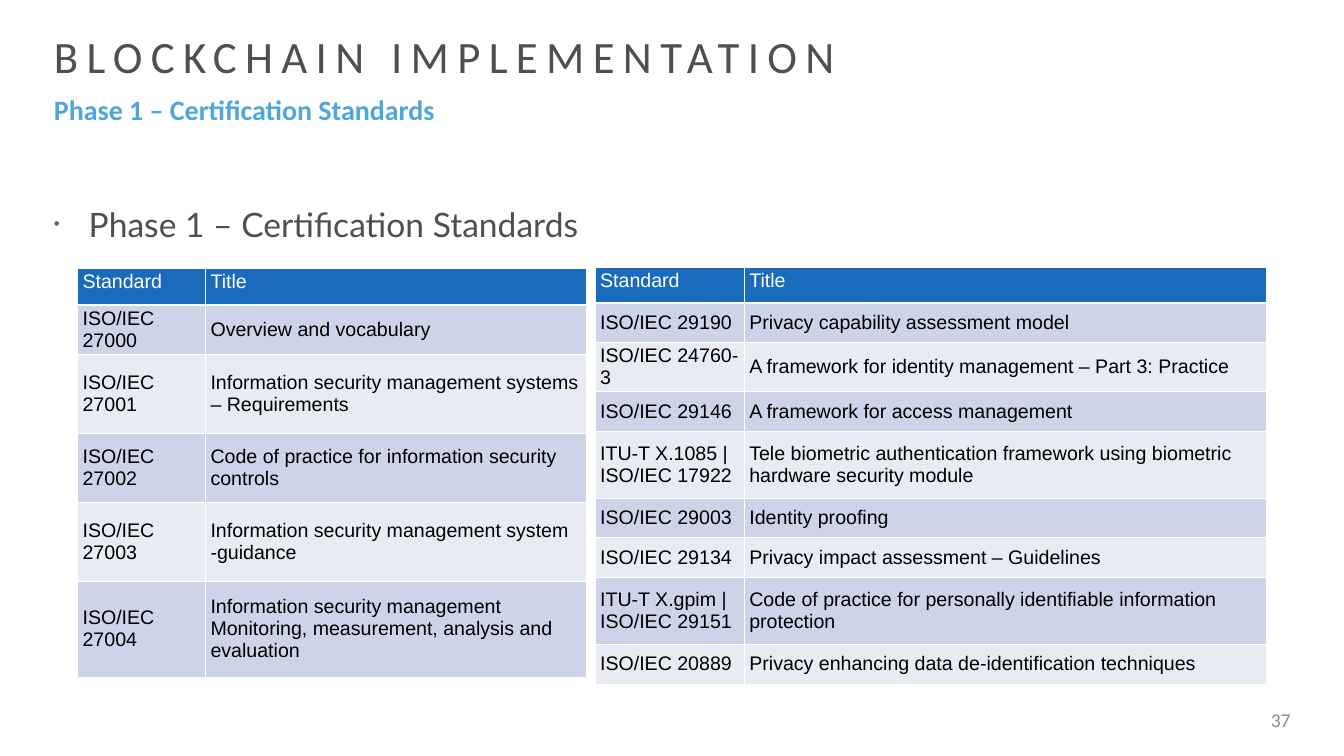
import pptx
import pptx.util
import pptx.dml.color
import pptx.enum.text
import pptx.oxml
import pptx.oxml.ns

HUES = {"ink": "4F4F4F", "blue": "4FA6DA", "gray": "8C8C8C", "dot": "646464",
        "head": "1B6BBC", "odd": "CDD4E7", "even": "E8EBF3",
        "white": "FFFFFF", "black": "000000"}
WIDE, HIGH = pptx.util.Inches(26.67), pptx.util.Inches(15)
ANCHOR = pptx.enum.text.MSO_ANCHOR
ALIGN = pptx.enum.text.PP_ALIGN

TITLE = "BLOCKCHAIN IMPLEMENTATION"
PHASE = "Phase 1 – Certification Standards"
PAGE = "37"
HEAD = ("Standard", "Title")

SPOTS = {"title": (3.64, 3.53, 64.79, 7.4), "sub": (3.64, 11.93, 92.73, 6.53),
         "body": (3.64, 26.6, 92.73, 63.53), "page": (72.59, 92.53, 23.81, 5.33)}
TABLES = [
    {"spot": (5.77, 35.47), "cols": (9.52, 28.35),
     "rows": (4.93, 6.27, 10.47, 9.07, 10.47, 12.67),
     "cells": [
         ("ISO/IEC 27000", "Overview and vocabulary"),
         ("ISO/IEC 27001", "Information security management systems – Requirements"),
         ("ISO/IEC 27002", "Code of practice for information security controls"),
         ("ISO/IEC 27003", "Information security management system -guidance"),
         ("ISO/IEC 27004", "Information security management Monitoring, "
                           "measurement, analysis and evaluation")]},
    {"spot": (44.28, 35.4), "cols": (11.1, 38.81),
     "rows": (4.67, 5.27, 5.27, 5.27, 8.8, 5.27, 5.27, 8.8, 5.27),
     "cells": [
         ("ISO/IEC 29190", "Privacy capability assessment model"),
         ("ISO/IEC 24760-3", "A framework for identity management – Part 3: Practice"),
         ("ISO/IEC 29146", "A framework for access management"),
         ("ITU-T X.1085 | ISO/IEC 17922", "Tele biometric authentication framework "
                                          "using biometric hardware security module"),
         ("ISO/IEC 29003", "Identity proofing"),
         ("ISO/IEC 29134", "Privacy impact assessment – Guidelines"),
         ("ITU-T X.gpim | ISO/IEC 29151", "Code of practice for personally "
                                          "identifiable information protection"),
         ("ISO/IEC 20889", "Privacy enhancing data de-identification techniques")]},
]


def across(part):
    return round(WIDE * part / 100)


def down(part):
    return round(HIGH * part / 100)


def tint(hue):
    return pptx.dml.color.RGBColor.from_string(HUES[hue])


def apply(thing, form):
    for key, value in form.items():
        setattr(thing, key, value)


def node(text):
    space = pptx.oxml.ns.nsdecls("a")
    return pptx.oxml.parse_xml(text.replace(" ", f" {space} ", 1))


def place(shape, spot):
    left, top, width, height = SPOTS[spot]
    apply(shape, {"left": across(left), "top": down(top),
                  "width": across(width), "height": down(height)})


def write(frame, text, hue, size, align=ALIGN.LEFT, **font):
    para = frame.paragraphs[0]
    apply(para, {"alignment": align, "space_before": pptx.util.Pt(0)})
    run = para.add_run()
    run.text = text
    apply(run.font, {"size": pptx.util.Pt(size), **font})
    run.font.color.rgb = tint(hue)
    return para, run


def fill_box(shape, spot, text, hue, anchor=ANCHOR.TOP, **form):
    place(shape, spot)
    apply(shape.text_frame, {"word_wrap": True, "vertical_anchor": anchor,
                             "auto_size": pptx.enum.text.MSO_AUTO_SIZE.NONE})
    return write(shape.text_frame, text, hue, **form)


def bullet(para, hang, marks):
    props = para._p.get_or_add_pPr()
    for key, value in {"marL": hang, "indent": -hang}.items():
        props.set(key, str(int(value)))
    for mark in marks:
        props.append(node(mark))


def edge(cell, sides):
    props = cell._tc.get_or_add_tcPr()
    for side, width in sides.items():
        props.append(node(
            f'<a:ln{side} w="{int(pptx.util.Pt(width))}"><a:solidFill>'
            f'<a:srgbClr val="{HUES["white"]}"/></a:solidFill></a:ln{side}>'))


def add_grid(slide, data):
    cols, rows = data["cols"], data["rows"]
    left, top = data["spot"]
    grid = slide.shapes.add_table(len(rows), len(cols), across(left), down(top),
                                  across(sum(cols)), down(sum(rows))).table
    for col, part in zip(grid.columns, cols):
        col.width = across(part)
    for row, part in zip(grid.rows, rows):
        row.height = down(part)
    for r, line in enumerate([HEAD] + data["cells"]):
        first = r == 0
        back = "head" if first else ("even", "odd")[r % 2]
        for c, text in enumerate(line):
            cell = grid.cell(r, c)
            cell.vertical_anchor = ANCHOR.TOP if first else ANCHOR.MIDDLE
            edge(cell, {"L": 1, "R": 1, "T": 1, "B": 3 if first else 1})
            cell.fill.solid()
            cell.fill.fore_color.rgb = tint(back)
            write(cell.text_frame, text, "white" if first else "black",
                  size=28, name="Arial", bold=False)


def main():
    deck = pptx.Presentation()
    apply(deck, {"slide_width": WIDE, "slide_height": HIGH})
    slide = deck.slides.add_slide(deck.slide_layouts[3])
    title, sub, body = slide.placeholders

    para, run = fill_box(title, "title", TITLE, "ink", ANCHOR.BOTTOM,
                         size=64, name="Calibri")
    title.text_frame.margin_bottom = 0
    run.font._element.set("spc", "1200")

    para, run = fill_box(sub, "sub", PHASE, "blue",
                         size=40, name="Calibri", bold=True)
    bullet(para, 0, ["<a:buNone />"])

    para, run = fill_box(body, "body", PHASE, "ink", size=48, name="Lato")
    bullet(para, pptx.util.Inches(0.69), [
        f'<a:buClr ><a:srgbClr val="{HUES["dot"]}"/></a:buClr>',
        '<a:buSzPct val="50000"/>', '<a:buFont typeface="Arial"/>',
        '<a:buChar char="•"/>'])

    page = slide.shapes.add_textbox(0, 0, 0, 0)
    fill_box(page, "page", PAGE, "gray", ANCHOR.MIDDLE, align=ALIGN.RIGHT,
             size=28, name="Calibri")
    for data in TABLES:
        add_grid(slide, data)
    deck.save("out.pptx")


if __name__ == "__main__":
    main()
